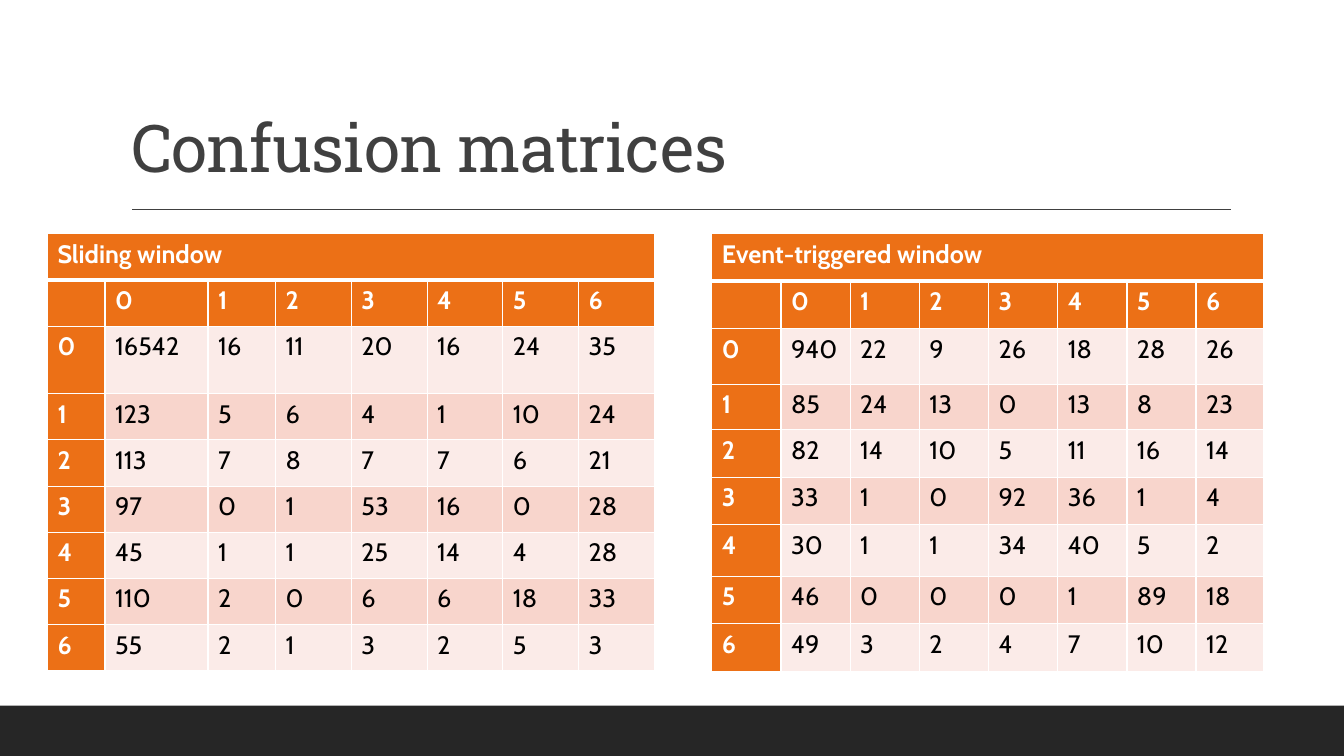
from lxml.etree import SubElement
from pptx import Presentation
from pptx.dml.color import RGBColor
from pptx.enum.shapes import MSO_CONNECTOR, MSO_SHAPE
from pptx.enum.text import MSO_ANCHOR, PP_ALIGN
from pptx.oxml import parse_xml
from pptx.oxml.ns import nsdecls, qn
from pptx.util import Inches, Pt

WIDTH, HEIGHT = Inches(13.33), Inches(7.5)
ORANGE, PALE, ROSE = "EC7016", "FBEBE8", "F8D5CC"
WHITE, BLACK, GREY, CHARCOAL = "FFFFFF", "000000", "404040", "262626"
CLASSES = list(range(7))

SLIDING = [
    [16542, 16, 11, 20, 16, 24, 35],
    [123, 5, 6, 4, 1, 10, 24],
    [113, 7, 8, 7, 7, 6, 21],
    [97, 0, 1, 53, 16, 0, 28],
    [45, 1, 1, 25, 14, 4, 28],
    [110, 2, 0, 6, 6, 18, 33],
    [55, 2, 1, 3, 2, 5, 3],
]
EVENT_TRIGGERED = [
    [940, 22, 9, 26, 18, 28, 26],
    [85, 24, 13, 0, 13, 8, 23],
    [82, 14, 10, 5, 11, 16, 14],
    [33, 1, 0, 92, 36, 1, 4],
    [30, 1, 1, 34, 40, 5, 2],
    [46, 0, 0, 0, 1, 89, 18],
    [49, 3, 2, 4, 7, 10, 12],
]


def across(percent):
    return round(WIDTH * percent / 100)


def down(percent):
    return round(HEIGHT * percent / 100)


def paint(color_format, color):
    color_format.rgb = RGBColor.from_string(color)


def fill_solid(target, color):
    target.fill.solid()
    paint(target.fill.fore_color, color)


def format_text(para, font, size, color, bold=False):
    for span in para.runs:
        span.font.name = font
        span.font.size = Pt(size)
        span.font.bold = bold
        paint(span.font.color, color)


def add_title(page, text):
    title = page.shapes.title
    title.left, title.top = across(9), down(4.13)
    title.width, title.height = across(82.52), down(21.2)
    title.text_frame.text = text
    title.text_frame.word_wrap = True
    title.text_frame.vertical_anchor = MSO_ANCHOR.BOTTOM
    para = title.text_frame.paragraphs[0]
    para.alignment = PP_ALIGN.LEFT
    para.line_spacing = 0.9
    format_text(para, "Roboto Slab", 47, GREY)
    para.runs[0].font._element.set("spc", "-50")


def add_footer_bar(page):
    bar = page.shapes.add_shape(MSO_SHAPE.RECTANGLE, 0, down(93.33), WIDTH, down(6.67))
    bar.shadow.inherit = False
    fill_solid(bar, CHARCOAL)
    bar.line.fill.background()


def add_title_rule(page):
    rule = page.shapes.add_connector(
        MSO_CONNECTOR.STRAIGHT, across(9.83), down(27.73), across(91.6), down(27.73))
    rule.line.width = Pt(1)
    paint(rule.line.color, GREY)
    SubElement(rule._element.spPr, qn("a:effectLst"))


def add_borders(cell, top, bottom):
    properties = cell._tc.get_or_add_tcPr()
    sides = {"lnL": 1, "lnR": 1, "lnT": top, "lnB": bottom}
    for position, (side, points) in enumerate(sides.items()):
        properties.insert(position, parse_xml(
            f'<a:{side} {nsdecls("a")} w="{Pt(points)}"><a:solidFill>'
            f'<a:srgbClr val="{WHITE}"/></a:solidFill></a:{side}>'))


def format_cell(cell, row, column, value):
    heading = row < 2 or column == 0
    fill_solid(cell, ORANGE if heading else (PALE, ROSE)[row % 2])
    add_borders(cell, 3 if row == 1 else 1, 3 if row == 0 else 1)
    cell.text_frame.text = str(value)
    para = cell.text_frame.paragraphs[0]
    para.font.size = Pt(18)
    format_text(para, "Cabin", 18, WHITE if heading else BLACK, heading)


def share_out(lines, attribute, total, weights):
    for line, weight in zip(lines, weights):
        setattr(line, attribute, round(total * weight / sum(weights)))


def add_matrix(page, heading, counts, left, width, column_weights, row_weights):
    rows = [[heading] + [""] * len(CLASSES), [""] + CLASSES]
    rows += [[label] + line for label, line in zip(CLASSES, counts)]
    height = down(57.87)
    table = page.shapes.add_table(
        len(rows), len(rows[0]), across(left), down(30.93), across(width), height).table
    share_out(table.columns, "width", across(width), column_weights)
    share_out(table.rows, "height", height, row_weights)
    for row, values in enumerate(rows):
        for column, value in enumerate(values):
            format_cell(table.cell(row, column), row, column, value)
    table.cell(0, 0).merge(table.cell(0, len(CLASSES)))


def main():
    deck = Presentation()
    deck.slide_width, deck.slide_height = WIDTH, HEIGHT
    page = deck.slides.add_slide(deck.slide_layouts[5])
    fill_solid(page.background, WHITE)
    add_footer_bar(page)
    add_title_rule(page)
    add_title(page, "Confusion matrices")
    add_matrix(page, "Sliding window", SLIDING, 3.53, 45.16,
               [57, 102, 67] + [75] * 5, [46, 46, 67] + [46] * 6)
    add_matrix(page, "Event-triggered window", EVENT_TRIGGERED, 52.96, 41.04,
               [69] * 7 + [67], [47, 47, 55, 45, 47, 47, 51, 47, 47])
    deck.save("out.pptx")


if __name__ == "__main__":
    main()
